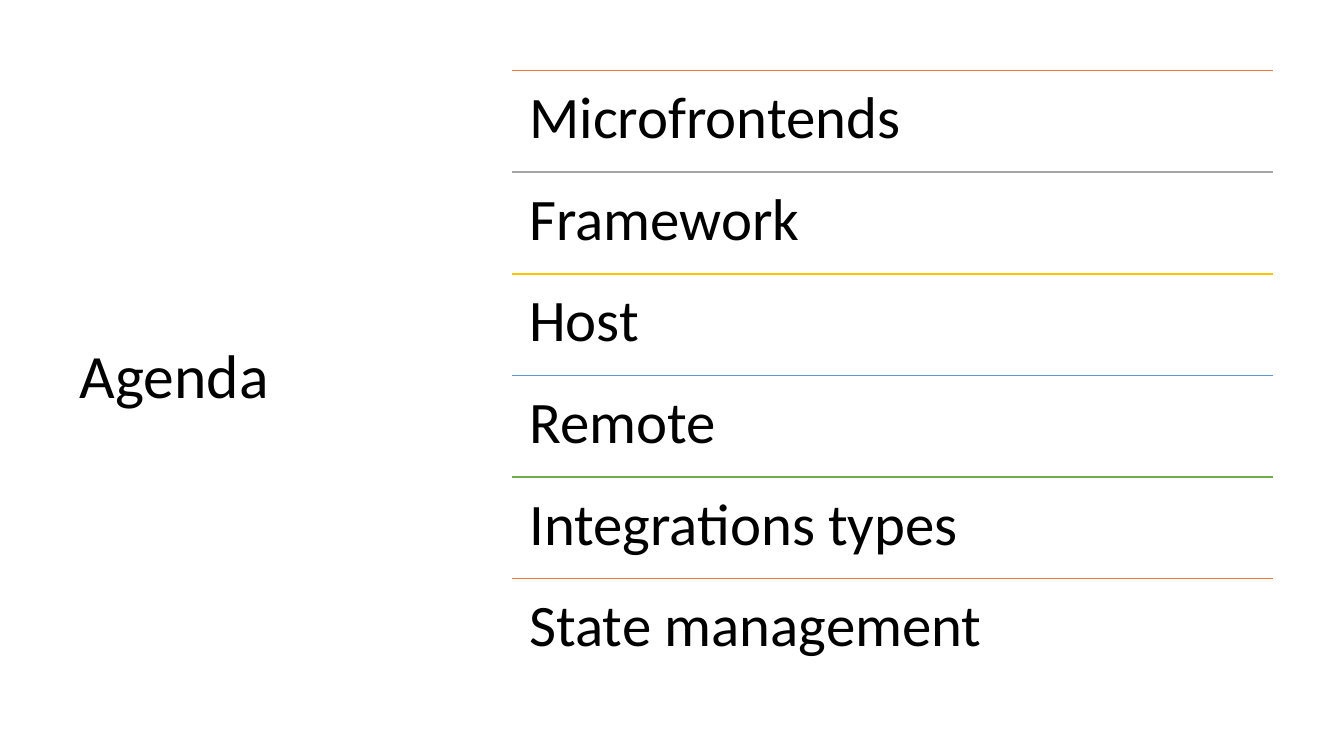
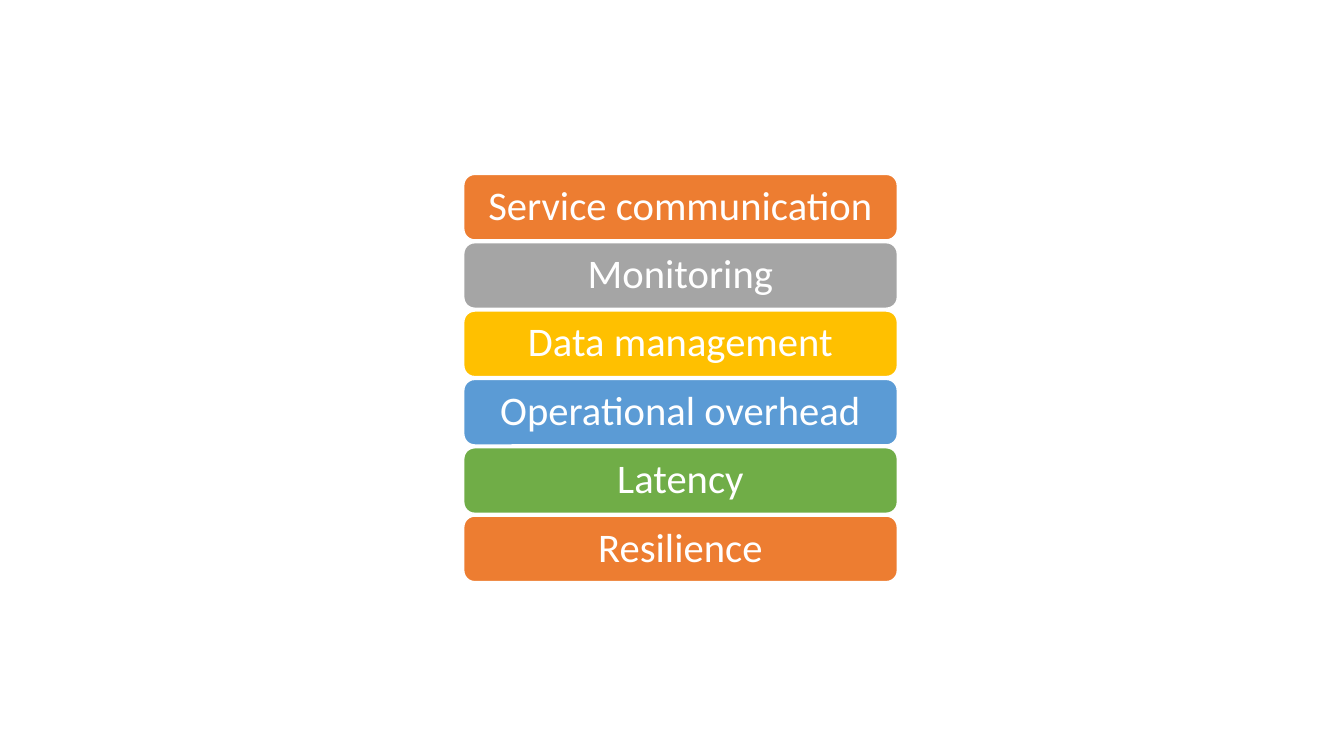
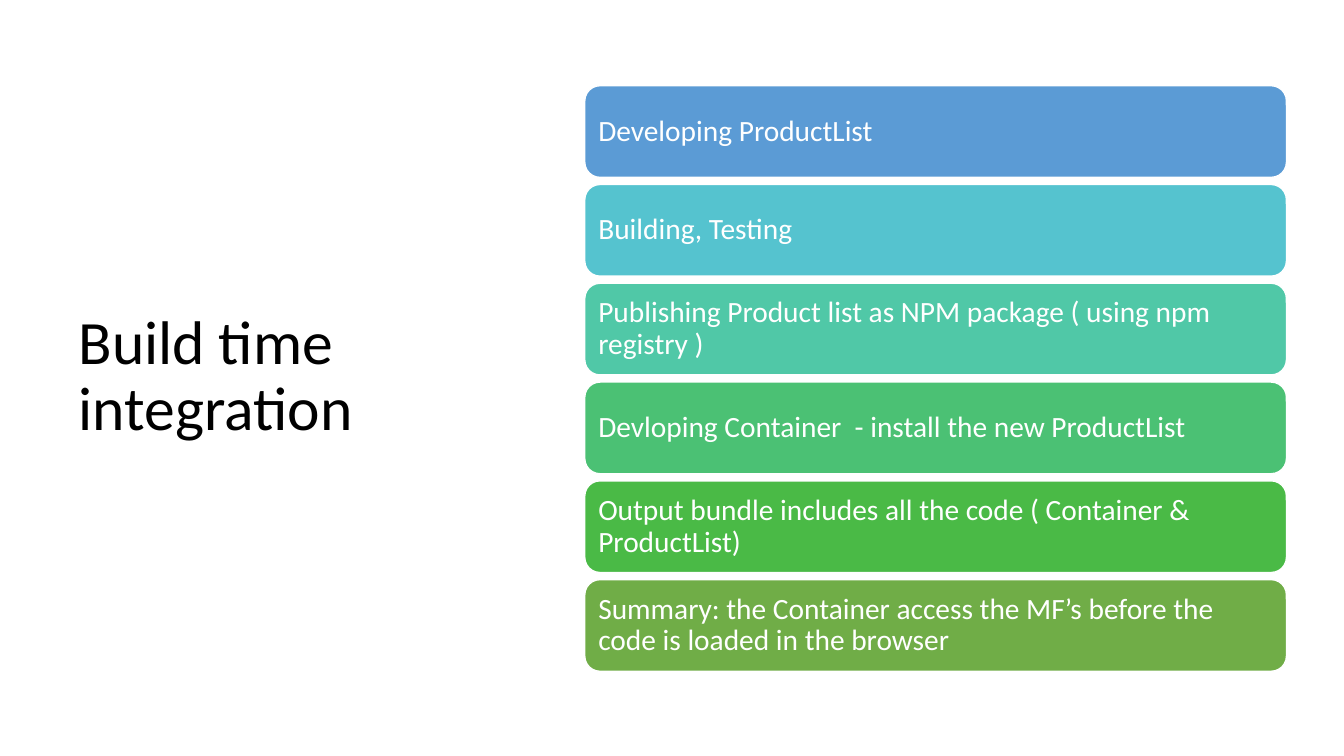
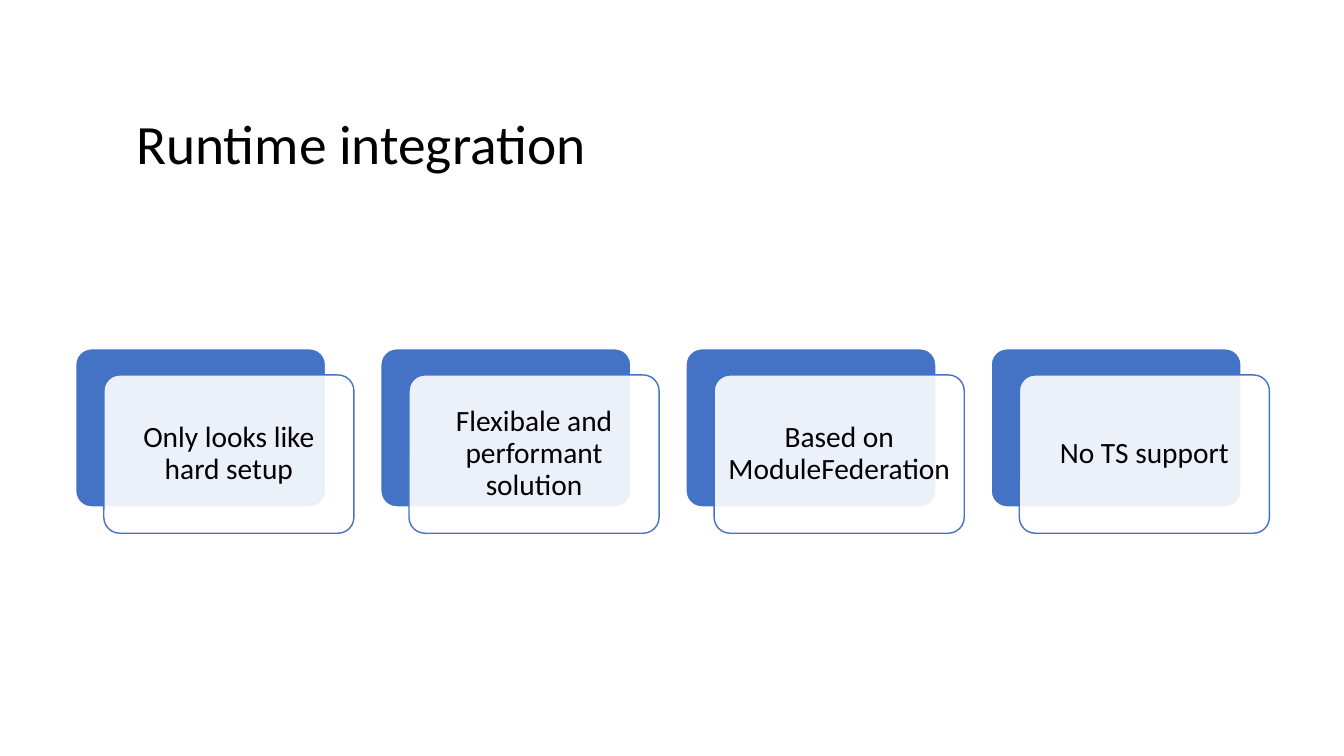
from itertools import cycle

from lxml import etree
from pptx import Presentation
from pptx.dml.color import RGBColor
from pptx.enum.shapes import MSO_CONNECTOR, MSO_SHAPE
from pptx.enum.text import MSO_ANCHOR, MSO_AUTO_SIZE, PP_ALIGN
from pptx.oxml.ns import qn
from pptx.util import Inches, Pt

LEFT, CENTER = PP_ALIGN.LEFT, PP_ALIGN.CENTER
TOP, MIDDLE = MSO_ANCHOR.TOP, MSO_ANCHOR.MIDDLE
ROUNDED, STRAIGHT = MSO_SHAPE.ROUNDED_RECTANGLE, MSO_CONNECTOR.STRAIGHT
NO_AUTOFIT = MSO_AUTO_SIZE.NONE
TITLE_ONLY, BLANK = 5, 6

AGENDA = ["Microfrontends", "Framework", "Host", "Remote",
          "Integrations types", "State management"]
CHALLENGES = ["Service communication", "Monitoring", "Data management",
              "Operational overhead", "Latency", "Resilience"]
BUILD_STEPS = [
    "Developing ProductList",
    "Building, Testing",
    "Publishing Product list as NPM package ( using npm registry )",
    "Devloping Container  - install the new ProductList",
    "Output bundle includes all the code ( Container & ProductList)",
    "Summary: the Container access the MF’s before the code is loaded in the browser",
]
RUNTIME_TRAITS = ["Only looks like hard setup", "Flexibale and performant solution",
                  "Based on ModuleFederation", "No TS support"]


class Theme:
    font = "Calibri"
    text, white, blue = "000000", "FFFFFF", "4472C4"
    accents = ["ED7D31", "A5A5A5", "FFC000", "5B9BD5", "70AD47"]
    blue_to_green = ["5B9BD5", "55C3CF", "50C8A7", "4BC174", "4ABA46", "70AD47"]
    title, wide_title, agenda, challenge, body = 44, 39.6, 42, 29, 21
    line = 1
    line_spacing = 0.9


def rgb(color):
    return RGBColor.from_string(color)


def spread(start, end, size, count):
    """Start positions of equal parts that fill start to end with equal gaps."""
    pitch = (end - start - size) / (count - 1)
    return [start + i * pitch for i in range(count)]


def write(sp, text, size, color=Theme.text, align=LEFT, anchor=MIDDLE, inset=(0.1, 0.05)):
    tf = sp.text_frame
    tf.word_wrap, tf.auto_size, tf.vertical_anchor = True, NO_AUTOFIT, anchor
    tf.margin_left = tf.margin_right = Inches(inset[0])
    tf.margin_top = tf.margin_bottom = Inches(inset[1])
    tf.text = text
    p = tf.paragraphs[0]
    p.alignment, p.line_spacing = align, Theme.line_spacing
    p.font.name, p.font.size = Theme.font, Pt(size)
    p.font.color.rgb = rgb(color)


def add_titled_slide(prs, title, box, size=Theme.title):
    s = prs.slides.add_slide(prs.slide_layouts[TITLE_ONLY])
    sp = s.shapes.title
    sp.left, sp.top, sp.width, sp.height = map(Inches, box)
    write(sp, title, size)
    return s


def add_rule(s, x, y, width, color):
    rule = s.shapes.add_connector(STRAIGHT, Inches(x), Inches(y), Inches(x + width), Inches(y))
    rule.line.color.rgb, rule.line.width = rgb(color), Pt(Theme.line)
    etree.SubElement(rule._element.spPr, qn("a:effectLst"))


def add_card(s, box, fill, line=Theme.white, opacity=None, corner=None):
    sp = s.shapes.add_shape(ROUNDED, *map(Inches, box))
    sp.shadow.inherit = False
    sp.fill.solid()
    sp.fill.fore_color.rgb = rgb(fill)
    sp.line.color.rgb, sp.line.width = rgb(line), Pt(Theme.line)
    if corner is not None:
        sp.adjustments[0] = corner
    if opacity is not None:
        color = sp._element.spPr.find(qn("a:solidFill"))[0]
        etree.SubElement(color, qn("a:alpha"), val=str(opacity * 1000))
    return sp


def add_card_stack(s, items, colors, left, top, width, bottom, height, size, align, inset):
    tops = spread(top, bottom, height, len(items))
    for text, y, color in zip(items, tops, cycle(colors)):
        sp = add_card(s, (left, y, width, height), color)
        write(sp, text, size, Theme.white, align, inset=inset)


def agenda_slide(prs):
    s = add_titled_slide(prs, "Agenda", (0.69, 0.7, 3.74, 6.11))
    left, width, top, bottom = 5.08, 7.55, 0.7, 6.75
    row = (bottom - top) / len(AGENDA)
    tops = spread(top, bottom, row, len(AGENDA))
    for text, y, color in zip(AGENDA, tops, cycle(Theme.accents)):
        add_rule(s, left, y, width, color)
        box = s.shapes.add_textbox(*map(Inches, (left, y, width, row)))
        write(box, text, Theme.agenda, anchor=TOP, inset=(0.17, 0.17))


def challenges_slide(prs):
    s = prs.slides.add_slide(prs.slide_layouts[BLANK])
    add_card_stack(s, CHALLENGES, Theme.accents, left=4.6, top=1.73, width=4.3, bottom=5.77,
                   height=0.65, size=Theme.challenge, align=CENTER, inset=(0.12, 0.06))


def build_time_slide(prs):
    s = add_titled_slide(prs, "Build time integration", (0.68, 1.27, 3.94, 4.95))
    add_card_stack(s, BUILD_STEPS, Theme.blue_to_green, left=5.8, top=0.85, width=6.96,
                   bottom=6.66, height=0.91, size=Theme.body, align=LEFT, inset=(0.09, 0.09))


def runtime_slide(prs):
    s = add_titled_slide(prs, "Runtime integration", (1.25, 1.08, 10.83, 0.75),
                         Theme.wide_title)
    top, width, height, corner = 3.46, 2.48, 1.57, 0.1
    shift_x, shift_y = 0.28, 0.26
    lefts = spread(0.75, 12.31, width, len(RUNTIME_TRAITS))
    for text, x in zip(RUNTIME_TRAITS, lefts):
        add_card(s, (x, top, width, height), Theme.blue, corner=corner)
        front = add_card(s, (x + shift_x, top + shift_y, width, height), Theme.white,
                         Theme.blue, opacity=90, corner=corner)
        write(front, text, Theme.body, align=CENTER, inset=(0.08, 0.09))


def main():
    prs = Presentation()
    prs.slide_width, prs.slide_height = Inches(13.33), Inches(7.5)
    for build in (agenda_slide, challenges_slide, build_time_slide, runtime_slide):
        build(prs)
    prs.save("out.pptx")


if __name__ == "__main__":
    main()
